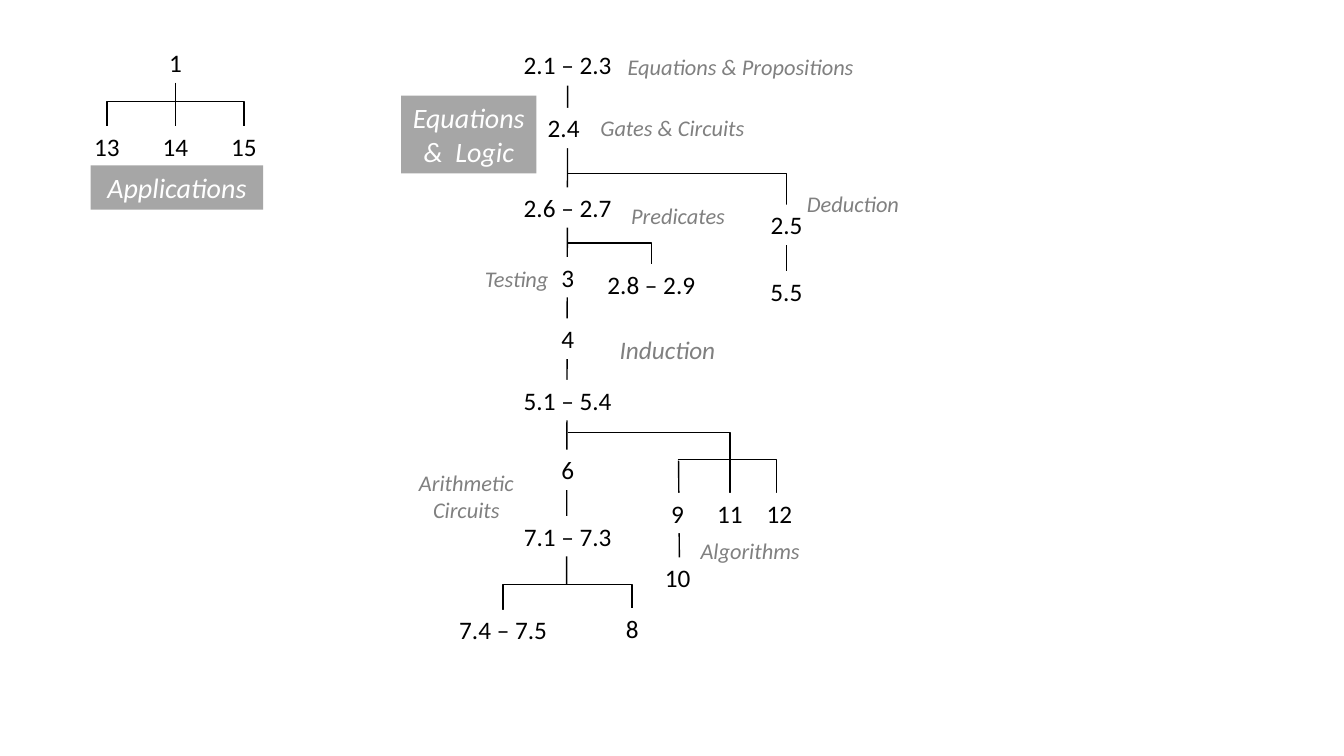
from lxml.etree import SubElement
from pptx import Presentation
from pptx.dml.color import RGBColor
from pptx.enum.shapes import MSO_CONNECTOR, MSO_SHAPE
from pptx.enum.text import MSO_ANCHOR, PP_ALIGN
from pptx.oxml.ns import qn
from pptx.util import Inches, Pt

BLACK, WHITE, GRAY, SILVER = "000000", "FFFFFF", "808080", "A6A6A6"
SPINE = 5.63
NODE_HEIGHT = 0.4


def color(value):
    """Turn a hex string into a colour."""
    return RGBColor.from_string(value)


def assign(target, values):
    """Set each attribute named in a dict."""
    for name, value in values.items():
        setattr(target, name, value)


class ChapterMap:
    """Holds the style and the current slide."""

    font = "Calibri"
    line_width = Pt(1)
    frame = {"word_wrap": True, "vertical_anchor": MSO_ANCHOR.TOP}

    def __init__(self, page):
        """Keep the slide to draw on."""
        self.page = page

    def add_text(self, box, text, size, ink, italic):
        """Put one centred paragraph into a box."""
        assign(box.text_frame, self.frame)
        para = box.text_frame.paragraphs[0]
        para.alignment = PP_ALIGN.CENTER
        span = para.add_run()
        span.text = text
        assign(span.font, {"name": self.font, "size": Pt(size), "italic": italic})
        span.font.color.rgb = color(ink)

    def label(self, text, left, top, width, height=0.37, size=16, ink=GRAY, italic=True):
        """Add text without a fill."""
        box = self.page.shapes.add_textbox(*map(Inches, (left, top, width, height)))
        self.add_text(box, text, size, ink, italic)

    def panel(self, text, left, top, width, height, fill=SILVER, size=20, ink=WHITE, italic=True):
        """Add a filled rectangle with text."""
        box = self.page.shapes.add_shape(
            MSO_SHAPE.RECTANGLE, *map(Inches, (left, top, width, height)))
        box.shadow.inherit = False
        box.fill.solid()
        box.fill.fore_color.rgb = color(fill)
        box.line.fill.background()
        self.add_text(box, text, size, ink, italic)

    def node(self, text, center, top, width=0.48):
        """Add a chapter number on white, centred on its branch."""
        self.panel(text, center - width / 2, top, width, NODE_HEIGHT,
                   fill=WHITE, size=18, ink=BLACK, italic=False)

    def connect(self, kind, points):
        """Add a thin black connector without a shadow."""
        link = self.page.shapes.add_connector(kind, *map(Inches, points))
        link.line.width = self.line_width
        link.line.color.rgb = color(BLACK)
        SubElement(link._element.spPr, qn("a:effectLst"))
        return link

    def line(self, *points):
        """Add a straight line."""
        self.connect(MSO_CONNECTOR.STRAIGHT, points)

    def branch(self, *points):
        """Add a line that runs across, then down."""
        link = self.connect(MSO_CONNECTOR.ELBOW, points)
        link._element.spPr.find(qn("a:prstGeom")).set("prst", "bentConnector2")


deck = Presentation()
assign(deck, {"slide_width": Inches(13.33), "slide_height": Inches(7.5)})
chapters = ChapterMap(deck.slides.add_slide(deck.slide_layouts[6]))

# Applications tree
root, spread = 1.74, 0.68
for side in (-1, 1):
    chapters.branch(root, 1.01, root + side * spread, 1.25)
chapters.line(root, 0.82, root, 1.25)
for number, step, top in (("1", 0, 0.42), ("13", -1, 1.25), ("14", 0, 1.25), ("15", 1, 1.25)):
    chapters.label(number, root + step * spread - 0.24, top, 0.48,
                   NODE_HEIGHT, 18, BLACK, False)
chapters.panel("Applications", 0.9, 1.64, 1.71, 0.44)

# Main tree: lines go behind the white nodes
chapters.line(SPINE, 0.85, SPINE - 0.01, 5.8)
chapters.line(6.73, 4.57, 6.74, 5.73)
for points in (
    (SPINE, 1.72, 7.8, 2.69),
    (SPINE, 2.41, 6.46, 2.65),
    (SPINE, 4.29, 7.24, 5.07),
    (6.72, 4.56, 7.7, 4.98),
    (SPINE, 5.8, 4.99, 6.08),
    (SPINE, 5.8, 6.27, 6.03),
):
    chapters.branch(*points)

for node in (
    ("2.1 – 2.3", SPINE, 0.44, 1.2),
    ("2.4", 5.59, 1.07, 0.58),
    ("2.6 – 2.7", SPINE, 1.86, 1.16),
    ("3", SPINE, 2.55),
    ("4", SPINE, 3.16),
    ("5.1 – 5.4", SPINE, 3.77, 1.26),
    ("6", SPINE, 4.46),
    ("7.1 – 7.3", SPINE, 5.12, 1.11),
    ("7.4 – 7.5", 4.99, 6.05, 1.11),
    ("8", 6.27, 6.04),
    ("2.8 – 2.9", 6.46, 2.62, 1.16),
    ("2.5", 7.8, 2.03, 0.85),
    ("5.5", 7.8, 2.69, 0.61),
    ("9", 6.72, 4.89),
    ("11", 7.24, 4.89),
    ("12", 7.73, 4.89),
    ("10", 6.72, 5.53),
):
    chapters.node(*node)

# Topics
for topic in (
    ("Equations & Propositions", 6.1, 0.48, 2.49),
    ("Gates & Circuits", 5.82, 1.08, 1.7),
    ("Deduction", 7.85, 1.84, 1.22),
    ("Predicates", 6.15, 1.96, 1.15),
    ("Testing", 4.64, 2.58, 0.97),
    ("Induction", 6.01, 3.27, 1.22, 0.4, 18),
    ("Arithmetic Circuits", 3.77, 4.61, 1.71, 0.64),
    ("Algorithms", 6.83, 5.28, 1.22),
):
    chapters.label(*topic)
chapters.panel("Equations &  Logic", 3.98, 0.95, 1.34, 0.77)

deck.save("out.pptx")
